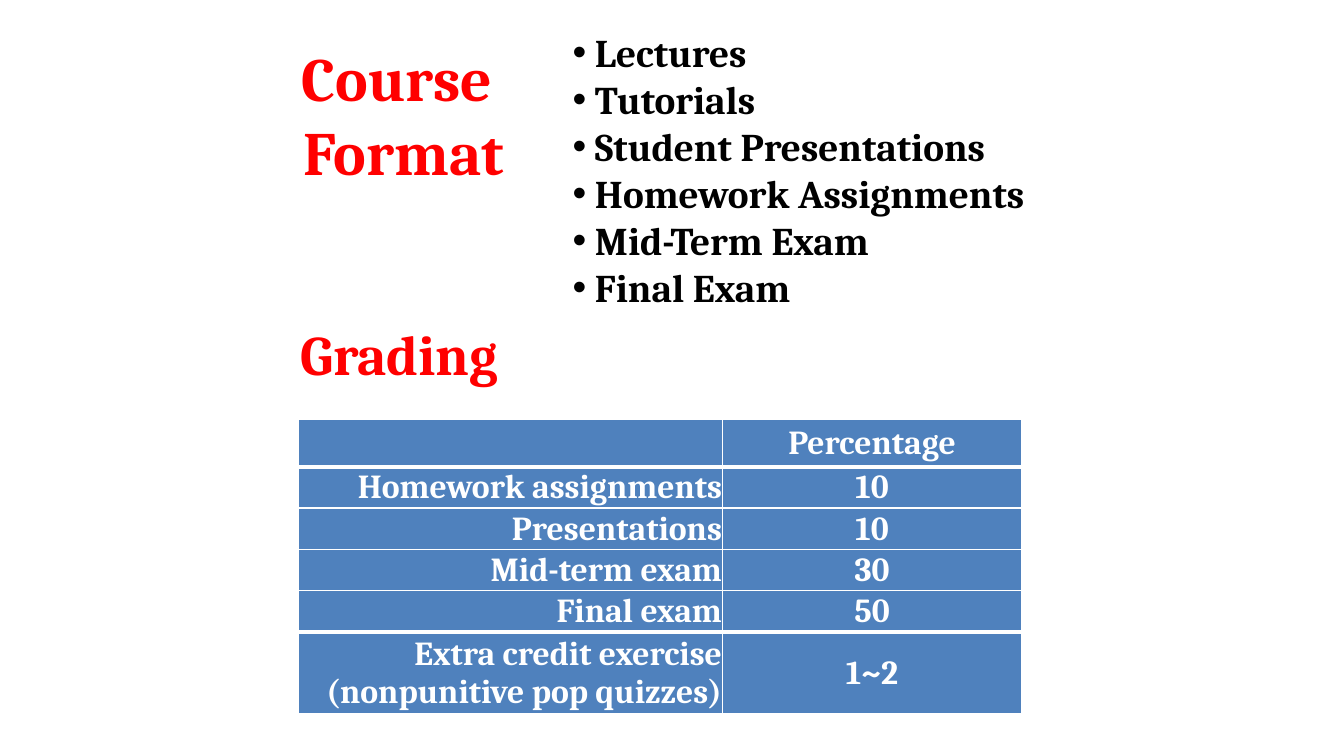
from dataclasses import dataclass

from lxml.etree import SubElement
from pptx import Presentation
from pptx.dml.color import RGBColor
from pptx.enum.text import MSO_ANCHOR, MSO_AUTO_SIZE, PP_ALIGN
from pptx.oxml import parse_xml
from pptx.oxml.ns import nsdecls, qn
from pptx.util import Pt

PX = 9144  # EMU in one px, 100 px to the inch


@dataclass(frozen=True)
class Theme:
    font: str = "Cambria"
    heading: str = "FF0000"
    text: str = "000000"
    cell: str = "4F81BD"
    light: str = "FFFFFF"
    title_size: int = 44
    heading_size: int = 40
    list_size: int = 28
    table_size: int = 24
    thin: int = 1
    thick: int = 3


@dataclass(frozen=True)
class Box:
    left: int
    top: int
    width: int
    height: int

    def emu(self) -> tuple[int, ...]:
        return tuple(v * PX for v in (self.left, self.top, self.width, self.height))


@dataclass(frozen=True)
class GradeRow:
    label: str
    share: str
    height: int = 41


THEME = Theme()
TITLE_BOX = Box(234, 61, 320, 130)
GRADING_BOX = Box(288, 312, 367, 77)
TABLE_BOX = Box(296, 416, 717, 292)
LIST_BOX = Box(558, 23, 509, 293)
COLUMN_WIDTHS = (421, 296)
ACTIVITIES = ("Lectures", "Tutorials", "Student Presentations",
              "Homework Assignments", "Mid-Term Exam", "Final Exam")
GRADES = (
    GradeRow("", "Percentage", 47),
    GradeRow("Homework assignments", "10"),
    GradeRow("Presentations", "10"),
    GradeRow("Mid-term exam", "30"),
    GradeRow("Final exam", "50"),
    GradeRow("Extra credit exercise (nonpunitive pop quizzes)", "1~2", 81),
)
THICK_RULES = (1, len(GRADES) - 1)  # row edges below the header and above the extra credit


def place(sp, box: Box) -> None:
    sp.left, sp.top, sp.width, sp.height = box.emu()


def style_text(tf, size: int, color: str, align=PP_ALIGN.LEFT) -> None:
    for p in tf.paragraphs:
        p.alignment = align
        p.space_before = Pt(0)
        for r in p.runs:
            r.font.name = THEME.font
            r.font.size = Pt(size)
            r.font.bold = True
            r.font.color.rgb = RGBColor.from_string(color)


def add_bullets(tf) -> None:
    for p in tf.paragraphs:
        pPr = p._p.get_or_add_pPr()
        pPr.set("marL", "0")
        pPr.set("indent", "0")
        SubElement(pPr, qn("a:buFont"), typeface="Arial")
        SubElement(pPr, qn("a:buChar"), char="•")


def set_borders(cell, row: int) -> None:
    tcPr = cell._tc.get_or_add_tcPr()
    edges = (("L", None), ("R", None), ("T", row), ("B", row + 1))
    for i, (side, rule) in enumerate(edges):
        width = THEME.thick if rule in THICK_RULES else THEME.thin
        tcPr.insert(i, parse_xml(
            f'<a:ln{side} {nsdecls("a")} w="{Pt(width)}"><a:solidFill>'
            f'<a:srgbClr val="{THEME.light}"/></a:solidFill></a:ln{side}>'))


def fill_cell(cell, text: str, row: int, align) -> None:
    cell.text = text
    cell.vertical_anchor = MSO_ANCHOR.MIDDLE
    cell.margin_left = cell.margin_right = cell.margin_top = PX
    cell.margin_bottom = 0
    cell.fill.solid()
    cell.fill.fore_color.rgb = RGBColor.from_string(THEME.cell)
    style_text(cell.text_frame, THEME.table_size, THEME.light, align)
    set_borders(cell, row)


def add_grades(s) -> None:
    table = s.shapes.add_table(len(GRADES), len(COLUMN_WIDTHS), *TABLE_BOX.emu()).table
    for column, width in zip(table.columns, COLUMN_WIDTHS):
        column.width = width * PX
    for i, grade in enumerate(GRADES):
        table.rows[i].height = grade.height * PX
        fill_cell(table.cell(i, 0), grade.label, i, PP_ALIGN.RIGHT)
        fill_cell(table.cell(i, 1), grade.share, i, PP_ALIGN.CENTER)


def main() -> None:
    prs = Presentation()
    prs.slide_width, prs.slide_height = 1333 * PX, 750 * PX
    s = prs.slides.add_slide(prs.slide_layouts[1])

    # Title
    title = s.shapes.title
    place(title, TITLE_BOX)
    tf = title.text_frame
    tf.text = "Course\n Format"
    tf.vertical_anchor = MSO_ANCHOR.BOTTOM
    tf.auto_size = MSO_AUTO_SIZE.NONE
    style_text(tf, THEME.title_size, THEME.heading, PP_ALIGN.CENTER)

    # Grading heading
    tf = s.shapes.add_textbox(*GRADING_BOX.emu()).text_frame
    tf.word_wrap = True
    tf.text = "Grading"
    style_text(tf, THEME.heading_size, THEME.heading)

    # Grading table
    add_grades(s)

    # Course activities
    body = s.placeholders[1]
    place(body, LIST_BOX)
    tf = body.text_frame
    tf.text = "\n".join(f" {activity}" for activity in ACTIVITIES)
    tf.auto_size = MSO_AUTO_SIZE.NONE
    style_text(tf, THEME.list_size, THEME.text)
    add_bullets(tf)

    prs.save("out.pptx")


if __name__ == "__main__":
    main()
